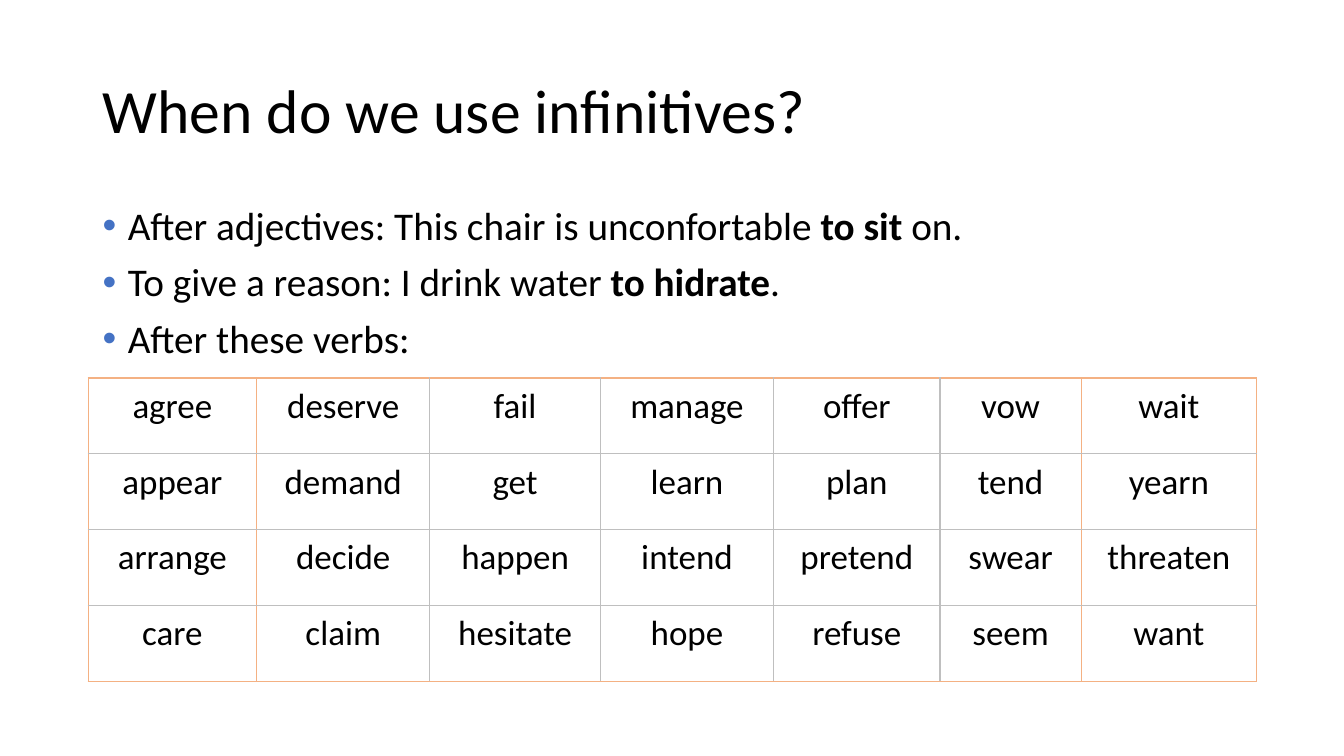
"""Build a grammar slide on when infinitives are used."""
from lxml.etree import SubElement
from pptx import Presentation
from pptx.dml.color import RGBColor
from pptx.enum.text import MSO_ANCHOR as Anchor, MSO_AUTO_SIZE as AutoSize, PP_ALIGN as Align
from pptx.oxml.ns import qn
from pptx.util import Inches, Pt

BLACK = RGBColor(0x00, 0x00, 0x00)
BLUE = RGBColor(0x44, 0x72, 0xC4)
ORANGE = RGBColor(0xF4, 0xB1, 0x83)
GREY = RGBColor(0xBF, 0xBF, 0xBF)
FONT = "Calibri"
SLIDE_WIDTH, SLIDE_HEIGHT = Inches(13.33), Inches(7.5)

USES = [
    ("After adjectives: This chair is unconfortable ", "to sit ", "on."),
    ("To give a reason: I drink water ", "to hidrate", "."),
    ("After these verbs:",),
]
VERBS = [
    "agree deserve fail manage offer vow wait".split(),
    "appear demand get learn plan tend yearn".split(),
    "arrange decide happen intend pretend swear threaten".split(),
    "care claim hesitate hope refuse seem want".split(),
]
COLUMN_SHARES = [12.53, 12.9, 12.68, 12.9, 12.38, 10.5, 13.05]
ROW_SHARE = 10.03
ORANGE_COLUMN_EDGES = {0, 1, 6, 7}
ORANGE_ROW_EDGES = {0, 4}


def across(percent):
    return round(SLIDE_WIDTH * percent / 100)


def down(percent):
    return round(SLIDE_HEIGHT * percent / 100)


def format_run(run, size, bold=False):
    run.font.name = FONT
    run.font.size = Pt(size)
    run.font.bold = bold
    run.font.color.rgb = BLACK


def format_title(title, text):
    title.left, title.top = across(6.9), down(5.33)
    title.width, title.height = across(86.25), down(19.33)
    frame = title.text_frame
    frame.text = text
    frame.auto_size = AutoSize.NONE
    frame.vertical_anchor = Anchor.MIDDLE
    para = frame.paragraphs[0]
    para.alignment = Align.LEFT
    para.line_spacing = 0.9
    format_run(para.runs[0], 44)


def add_bullet(para):
    properties = para._p.get_or_add_pPr()
    properties.set("marL", str(Inches(0.25)))
    properties.set("indent", str(-Inches(0.25)))
    colour = SubElement(properties, qn("a:buClr"))
    SubElement(colour, qn("a:srgbClr"), val=str(BLUE))
    SubElement(properties, qn("a:buFont"), typeface="Arial")
    SubElement(properties, qn("a:buChar"), char="•")


def add_uses(page):
    box = page.shapes.add_textbox(across(6.9), down(26.67), across(86.25), down(63.47))
    frame = box.text_frame
    frame.word_wrap = True
    for index, parts in enumerate(USES):
        para = frame.add_paragraph() if index else frame.paragraphs[0]
        para.line_spacing = 0.9
        para.space_before = Pt(10)
        add_bullet(para)
        for position, part in enumerate(parts):
            run = para.add_run()
            run.text = part
            format_run(run, 28, bold=position == 1)


def add_border(cell, side, colour):
    line = SubElement(cell._tc.get_or_add_tcPr(), qn(f"a:{side}"), w=str(Pt(1)))
    fill = SubElement(line, qn("a:solidFill"))
    SubElement(fill, qn("a:srgbClr"), val=str(colour))


def format_cell(cell, row, column, verb):
    cell.text_frame.text = verb
    cell.margin_left = cell.margin_right = Inches(0.14)
    cell.margin_top = cell.margin_bottom = Inches(0.07)
    para = cell.text_frame.paragraphs[0]
    para.alignment = Align.CENTER
    format_run(para.runs[0], 25)
    for side, edge in (("lnL", column), ("lnR", column + 1)):
        add_border(cell, side, ORANGE if edge in ORANGE_COLUMN_EDGES else GREY)
    for side, edge in (("lnT", row), ("lnB", row + 1)):
        add_border(cell, side, ORANGE if edge in ORANGE_ROW_EDGES else GREY)
    cell.fill.background()


def add_verb_table(page):
    table = page.shapes.add_table(
        len(VERBS), len(COLUMN_SHARES), across(6.56), down(50),
        across(sum(COLUMN_SHARES)), down(ROW_SHARE * len(VERBS)),
    ).table
    table.first_row = table.horz_banding = False
    for column, share in zip(table.columns, COLUMN_SHARES):
        column.width = across(share)
    for row, verbs in enumerate(VERBS):
        table.rows[row].height = down(ROW_SHARE)
        for column, verb in enumerate(verbs):
            format_cell(table.cell(row, column), row, column, verb)


def main():
    deck = Presentation()
    deck.slide_width, deck.slide_height = SLIDE_WIDTH, SLIDE_HEIGHT
    page = deck.slides.add_slide(deck.slide_layouts.get_by_name("Title Only"))
    format_title(page.shapes.title, "When do we use infinitives?")
    add_uses(page)
    add_verb_table(page)
    deck.save("out.pptx")


if __name__ == "__main__":
    main()
